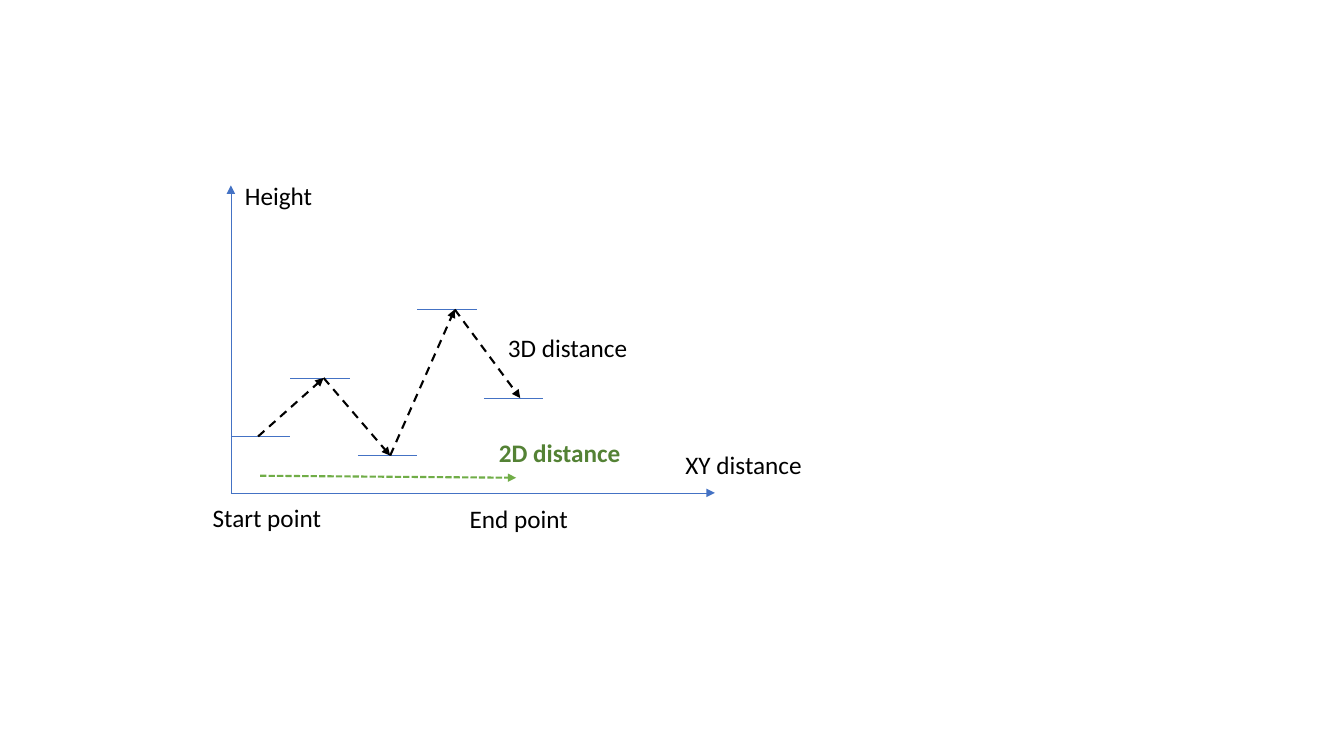
from pptx import Presentation
from pptx.dml.color import RGBColor
from pptx.enum.dml import MSO_LINE
from pptx.enum.shapes import MSO_CONNECTOR
from pptx.enum.text import MSO_AUTO_SIZE
from pptx.oxml.ns import qn
from pptx.util import Inches, Pt
from lxml import etree

BLUE = RGBColor(0x44, 0x72, 0xC4)
BLACK = RGBColor(0, 0, 0)
GREEN = RGBColor(0x70, 0xAD, 0x47)
DARK = RGBColor(0x54, 0x82, 0x35)
DASH = MSO_LINE.DASH
DOTS = MSO_LINE.SQUARE_DOT
STRAIGHT = MSO_CONNECTOR.STRAIGHT
FIT = MSO_AUTO_SIZE.SHAPE_TO_FIT_TEXT

WIDE, HIGH = 13.33, 7.5
COLS, ROWS = 4.8, 3.05
STEP = 0.59
STEPS = [(0, 0.56), (0.59, 1.14), (1.26, 0.37), (1.85, 1.82), (2.51, 0.94)]
STOPS = [0.27, 0.92, 1.58, 2.22, 2.87]
LABELS = [
    ("Start point", -0.28, -0.04, 1.29, {}),
    ("End point", 2.27, -0.05, 1.19, {}),
    ("XY distance", 4.41, 0.48, 1.37, {}),
    ("Height", 0.04, 3.15, 0.88, {}),
    ("3D distance", 2.65, 1.64, 1.4, {}),
    ("2D distance", 2.56, 0.6, 1.42, {"color": DARK, "bold": True}),
]


def add_line(slide, start, end, color=BLUE, width=0.5, dash=None, arrow=True):
    line = slide.shapes.add_connector(
        STRAIGHT, *(Inches(n) for n in (*start, *end)))
    line.line.color.rgb = color
    line.line.width = Pt(width)
    if dash:
        line.line.dash_style = dash
    props = line._element.spPr
    if arrow:
        tail = etree.SubElement(props.find(qn("a:ln")), qn("a:tailEnd"))
        tail.set("type", "triangle")
    etree.SubElement(props, qn("a:effectLst"))


def add_text(slide, text, box, size=18, color=BLACK, bold=False):
    frame = slide.shapes.add_textbox(*(Inches(n) for n in box)).text_frame
    frame.word_wrap = False
    frame.auto_size = FIT
    run = frame.paragraphs[0].add_run()
    run.text = text
    run.font.name = "Calibri"
    run.font.size = Pt(size)
    run.font.bold = bold
    run.font.color.rgb = color


def draw_graph(slide, left, top, width, height):
    col, row = width / COLS, height / ROWS

    def spot(x, y):
        return left + x * col, top + height - y * row

    for end in ((COLS, 0), (0, ROWS)):
        add_line(slide, spot(0, 0), spot(*end))
    for x, y in STEPS:
        add_line(slide, spot(x, y), spot(x + STEP, y), arrow=False)

    route = [spot(x, y) for x, (_, y) in zip(STOPS, STEPS)]
    for start, end in zip(route, route[1:]):
        add_line(slide, start, end, color=BLACK, width=1.5, dash=DASH)
    add_line(slide, spot(0.29, 0.17), spot(2.83, 0.15),
             color=GREEN, width=1.5, dash=DOTS)

    for text, x, y, span, style in LABELS:
        add_text(slide, text, (*spot(x, y), span * col, 0.4 * row), **style)


deck = Presentation()
deck.slide_width, deck.slide_height = Inches(WIDE), Inches(HIGH)
page = deck.slides.add_slide(deck.slide_layouts[6])
draw_graph(page, 2.29, 1.84, COLS, ROWS)
deck.save("out.pptx")
